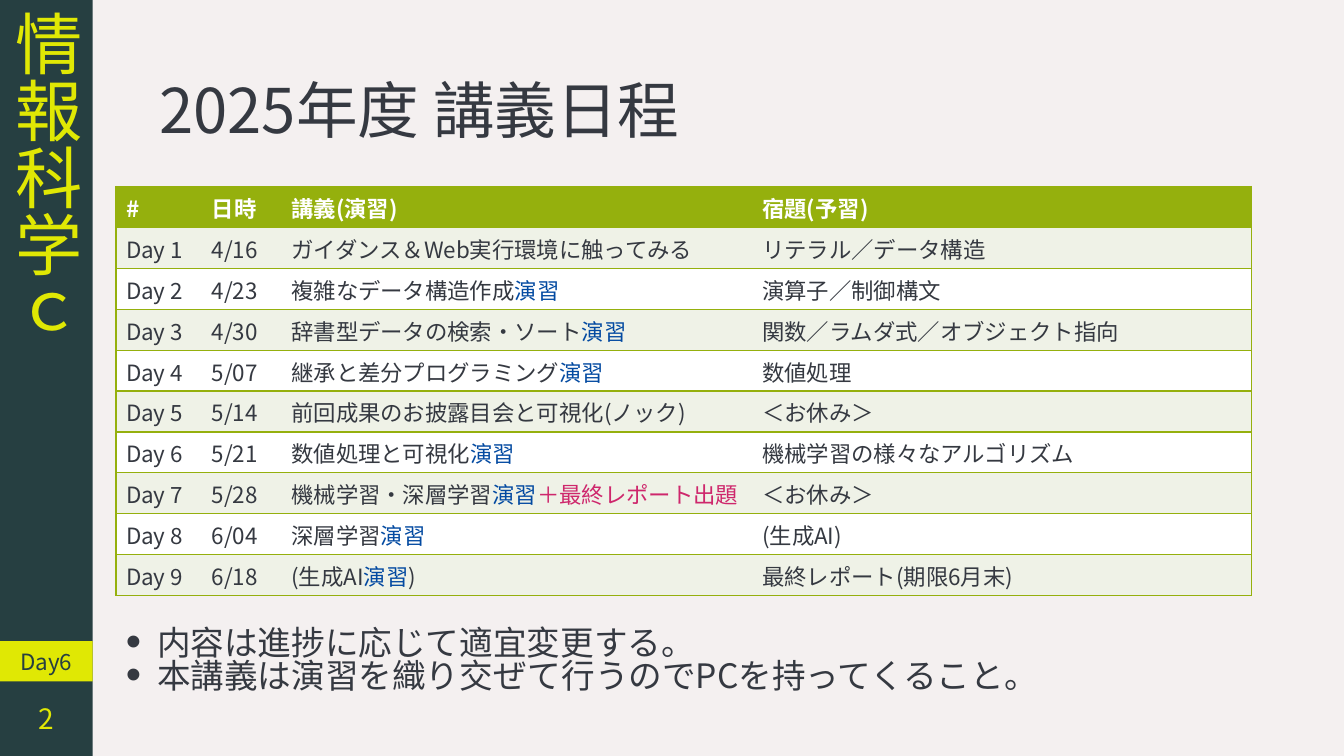
from lxml import etree
from pptx import Presentation
from pptx.dml.color import RGBColor
from pptx.enum import shapes, text
from pptx.oxml import ns
from pptx.util import Inches, Pt

FONT = "Noto Sans CJK JP"
COLORS = {
    "background": "F4F0F0", "sidebar": "263F41", "lime": "E0E804",
    "ink": "353941", "green": "95B00D", "band": "EFF2E7", "white": "FFFFFF",
    "exercise": "034AA1", "report": "CE276C",
}
NO_STYLE = "{2D5ABB26-0587-4C30-8999-92F81FD0307C}"
EXERCISE = "演習"
HEADER = ("#", "日時", "講義(演習)", "宿題(予習)")
SCHEDULE = [
    ("4/16", "ガイダンス＆Web実行環境に触ってみる", "リテラル／データ構造"),
    ("4/23", "複雑なデータ構造作成演習", "演算子／制御構文"),
    ("4/30", "辞書型データの検索・ソート演習", "関数／ラムダ式／オブジェクト指向"),
    ("5/07", "継承と差分プログラミング演習", "数値処理"),
    ("5/14", "前回成果のお披露目会と可視化(ノック)", "＜お休み＞"),
    ("5/21", "数値処理と可視化演習", "機械学習の様々なアルゴリズム"),
    ("5/28", "機械学習・深層学習演習＋最終レポート出題", "＜お休み＞"),
    ("6/04", "深層学習演習", "(生成AI)"),
    ("6/18", "(生成AI演習)", "最終レポート(期限6月末)"),
]
NOTES = ["内容は進捗に応じて適宜変更する。",
         "本講義は演習を織り交ぜて行うのでPCを持ってくること。"]


def rgb(name):
    return RGBColor.from_string(COLORS[name])


def style(para, size, color, bold=False):
    font = para.font
    font.name, font.size, font.bold = FONT, Pt(size), bold
    font.color.rgb = rgb(color)
    defaults = para._p.pPr.find(ns.qn("a:defRPr"))
    etree.SubElement(defaults, ns.qn("a:ea"), typeface=FONT)


def add_text(slide, place, content, size, color, align=None):
    box = slide.shapes.add_textbox(*map(Inches, place))
    fill_text(box, content, size, color, align)
    return box


def add_panel(slide, place, fill, content, size, color):
    panel = slide.shapes.add_shape(shapes.MSO_SHAPE.RECTANGLE, *map(Inches, place))
    panel.shadow.inherit = False
    panel.fill.solid()
    panel.fill.fore_color.rgb = rgb(fill)
    panel.line.fill.background()
    fill_text(panel, content, size, color, text.PP_ALIGN.CENTER)
    return panel


def fill_text(shape, content, size, color, align):
    frame = shape.text_frame
    frame.word_wrap = True
    frame.vertical_anchor = text.MSO_ANCHOR.MIDDLE
    frame.text = content
    para = frame.paragraphs[0]
    para.alignment = align
    style(para, size, color)


def add_bullets(slide, place, items):
    box = slide.shapes.add_textbox(*map(Inches, place))
    frame = box.text_frame
    frame.word_wrap = True
    frame.text = "\n".join(items)
    for para in frame.paragraphs:
        para.line_spacing = 0.82
        props = para._p.get_or_add_pPr()
        props.set("marL", str(Inches(0.31)))
        props.set("indent", str(Inches(-0.31)))
        etree.SubElement(props, ns.qn("a:buSzPct"), val="130000")
        etree.SubElement(props, ns.qn("a:buFont"), typeface="Arial")
        etree.SubElement(props, ns.qn("a:buChar"), char="•")
        style(para, 24, "ink")


def add_borders(cell, sides):
    props = cell._tc.get_or_add_tcPr()
    for side in sides:
        line = etree.SubElement(props, ns.qn(f"a:ln{side}"), w=str(Pt(1)))
        fill = etree.SubElement(line, ns.qn("a:solidFill"))
        etree.SubElement(fill, ns.qn("a:srgbClr"), val=COLORS["green"])


def lecture_runs(lecture):
    """Split a lecture title into coloured (text, colour) runs."""
    before, exercise, after = lecture.partition(EXERCISE)
    after_color = "report" if after.startswith("＋") else "ink"
    runs = [(before, "ink"), (exercise, "exercise"), (after, after_color)]
    return [run for run in runs if run[0]]


def fill_cell(cell, runs, fill, sides, bold):
    add_borders(cell, sides)
    cell.fill.solid()
    cell.fill.fore_color.rgb = rgb(fill)
    para = cell.text_frame.paragraphs[0]
    style(para, 16, runs[0][1], bold)
    for content, color in runs:
        span = para.add_run()
        span.text = content
        if color != runs[0][1]:
            span.font.color.rgb = rgb(color)


def add_schedule(slide):
    rows = [HEADER] + [(f"Day {day}", *row) for day, row in enumerate(SCHEDULE, 1)]
    frame = slide.shapes.add_table(len(rows), len(HEADER), Inches(1.15),
                                   Inches(1.85), Inches(11.27), Inches(4.06))
    table = frame.table
    table._tbl.tblPr.find(ns.qn("a:tableStyleId")).text = NO_STYLE
    for column, width in zip(table.columns, (0.85, 0.79, 4.67, 4.95)):
        column.width = Inches(width)
    edges = ("LTB", "TB", "TB", "RTB")
    for r, row in enumerate(rows):
        fill = "green" if r == 0 else "band" if r % 2 else "white"
        for c, content in enumerate(row):
            if r and c == 2:
                runs = lecture_runs(content)
            else:
                runs = [(content, "ink" if r else "white")]
            fill_cell(table.cell(r, c), runs, fill, edges[c], bold=r == 0)


def main():
    deck = Presentation()
    deck.slide_width, deck.slide_height = Inches(13.33), Inches(7.5)
    slide = deck.slides.add_slide(deck.slide_layouts[6])
    slide.background.fill.solid()
    slide.background.fill.fore_color.rgb = rgb("background")

    course = add_panel(slide, (0, 0, 0.92, 7.5), "sidebar", "情報科学ｃ", 48, "lime")
    course.text_frame._txBody.bodyPr.set("vert", "eaVert")
    title = add_text(slide, (1.48, 0.4, 10.93, 1.45), "2025年度 講義日程", 44, "ink")
    title.text_frame.paragraphs[0].line_spacing = 0.9
    add_schedule(slide)
    add_panel(slide, (0, 6.36, 0.92, 0.4), "lime", "Day6", 16, "sidebar")
    add_text(slide, (0, 6.76, 0.92, 0.74), "2", 20, "lime", text.PP_ALIGN.CENTER)
    add_bullets(slide, (1.15, 6.19, 11.79, 0.91), NOTES)
    deck.save("out.pptx")


if __name__ == "__main__":
    main()
